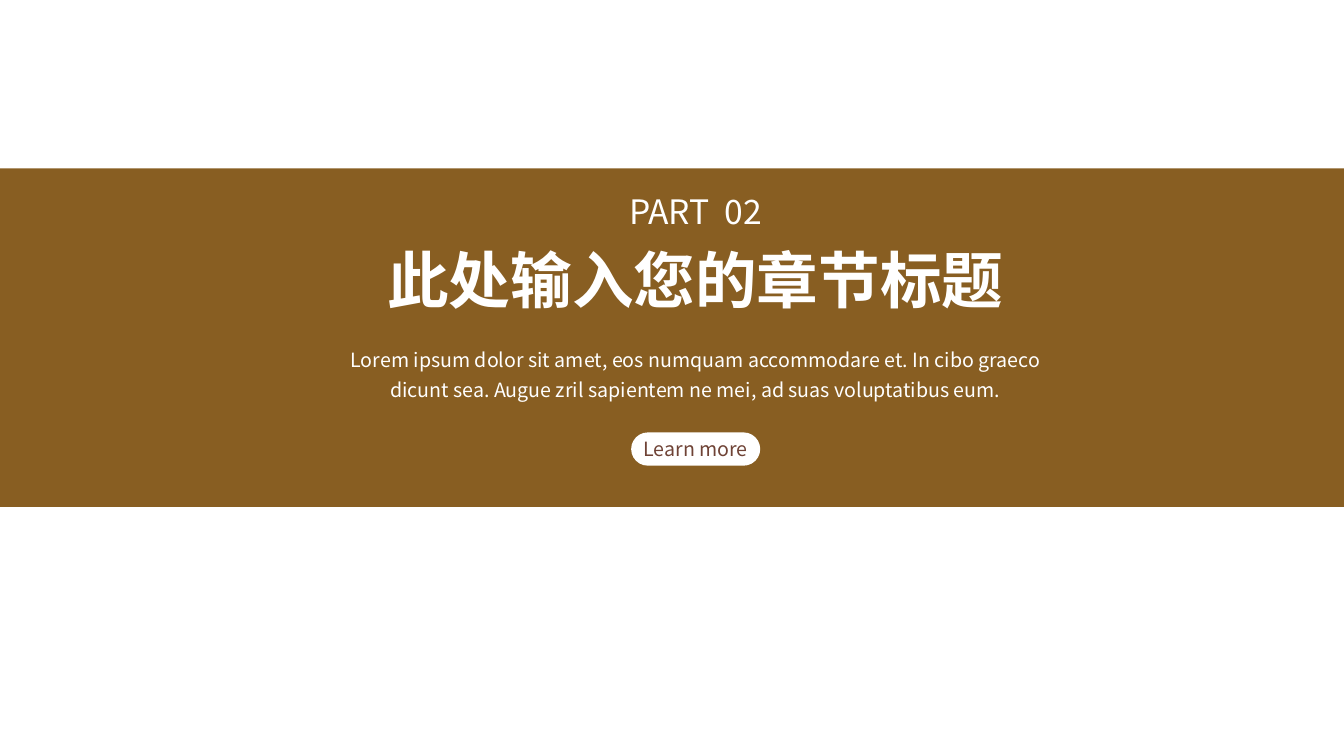
from lxml import etree
from pptx import Presentation
from pptx.dml.color import RGBColor
from pptx.enum.shapes import MSO_SHAPE as Shape
from pptx.enum.text import MSO_ANCHOR as Anchor, MSO_AUTO_SIZE as AutoSize, PP_ALIGN as Align
from pptx.oxml.ns import qn
from pptx.util import Inches, Pt

FONT = "Noto Sans CJK SC"
BROWN, WHITE, MAROON = "885E22", "FFFFFF", "6F4336"

PART = "PART  02"
HEADING = "此处输入您的章节标题"
SUMMARY = ("Lorem ipsum dolor sit amet, eos numquam accommodare et. "
           "In cibo graeco dicunt sea. Augue zril sapientem ne mei, "
           "ad suas voluptatibus eum.")
BUTTON = "Learn more"

SLIDE_W, SLIDE_H = 13.33, 7.5
AXIS = 6.9  # centre line shared by all the text


def color(hex_string):
    return RGBColor.from_string(hex_string)


def centered(top, width, height):
    """Left, top, width and height of a box centred on the text axis."""
    return [Inches(v) for v in (AXIS - width / 2, top, width, height)]


def place(shape, box):
    shape.left, shape.top, shape.width, shape.height = box


def add_panel(kind, box, fill):
    panel = slide.shapes.add_shape(kind, *box)
    panel.shadow.inherit = False
    panel.fill.solid()
    panel.fill.fore_color.rgb = color(fill)
    panel.line.fill.background()
    return panel


def write(shape, text, size, ink, bold=False, spacing=1.0, anchor=Anchor.TOP):
    frame = shape.text_frame
    frame.word_wrap = True
    frame.auto_size = AutoSize.NONE
    frame.vertical_anchor = anchor
    paragraph = frame.paragraphs[0]
    paragraph.alignment = Align.CENTER
    paragraph.line_spacing = spacing
    paragraph.space_before = Pt(0)
    run = paragraph.add_run()
    run.text = text
    run.font.name = FONT
    run.font.size = Pt(size)
    run.font.bold = bold
    run.font.color.rgb = color(ink)
    east_asian = etree.Element(qn("a:ea"), typeface=FONT)
    run.font._element.find(qn("a:latin")).addnext(east_asian)


prs = Presentation()
prs.slide_width, prs.slide_height = Inches(SLIDE_W), Inches(SLIDE_H)
slide = prs.slides.add_slide(prs.slide_layouts[0])
heading, summary = slide.placeholders

band = add_panel(Shape.RECTANGLE, [Inches(v) for v in (0, 1.67, SLIDE_W, 3.36)], BROWN)
heading.element.addprevious(band.element)  # send the band behind the text

place(heading, centered(2.35, 6.92, 0.84))
write(heading, HEADING, 44, WHITE, bold=True)

place(summary, centered(3.33, 7.15, 0.71))
write(summary, SUMMARY, 14, WHITE, spacing=1.3)

part = slide.shapes.add_textbox(*centered(1.84, 1.69, 0.5))
write(part, PART, 24, WHITE)

button = add_panel(Shape.ROUNDED_RECTANGLE, centered(4.29, 1.28, 0.33), WHITE)
button.adjustments[0] = 0.5
label = button.text_frame
label.margin_left = label.margin_right = label.margin_top = label.margin_bottom = 0
write(button, BUTTON, 14, MAROON, anchor=Anchor.MIDDLE)

prs.save("out.pptx")
